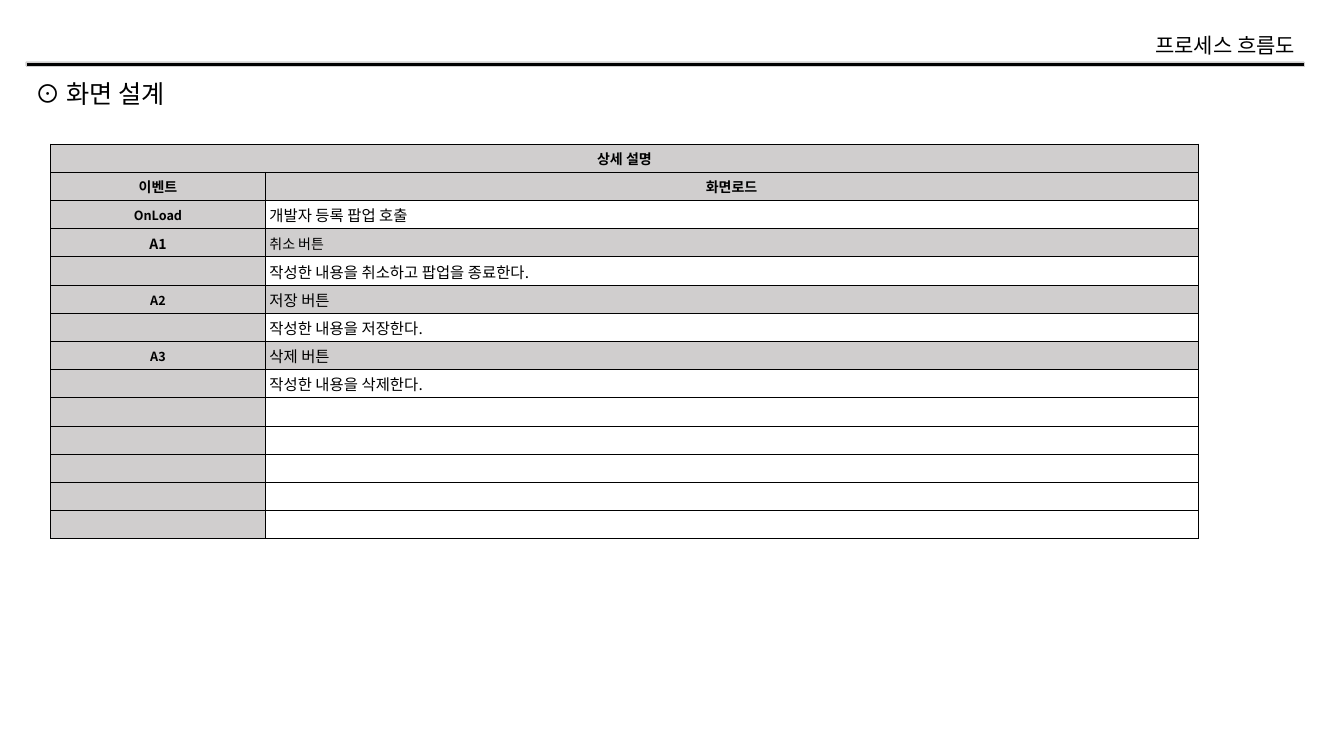
from lxml import etree
from pptx import Presentation
from pptx.dml.color import RGBColor
from pptx.enum.shapes import MSO_SHAPE
from pptx.enum.text import MSO_ANCHOR, MSO_AUTO_SIZE, PP_ALIGN
from pptx.oxml.ns import qn
from pptx.util import Cm, Pt

BLACK = RGBColor(0x00, 0x00, 0x00)
GREY = RGBColor(0xD0, 0xCE, 0xCE)
FONT = "Noto Sans CJK KR"
LEFT, CENTER, RIGHT = PP_ALIGN.LEFT, PP_ALIGN.CENTER, PP_ALIGN.RIGHT
MIDDLE = MSO_ANCHOR.MIDDLE
GROW = MSO_AUTO_SIZE.SHAPE_TO_FIT_TEXT
RECT = MSO_SHAPE.RECTANGLE

ROWS = [
    ("상세 설명", 10, "", 10),
    ("이벤트", 10, "화면로드", 10),
    ("OnLoad", 9, "개발자 등록 팝업 호출", 11),
    ("A1", 10, "취소 버튼", 10),
    ("", 10, "작성한 내용을 취소하고 팝업을 종료한다.", 11),
    ("A2", 9, "저장 버튼", 11),
    ("", 10, "작성한 내용을 저장한다.", 11),
    ("A3", 9, "삭제 버튼", 11),
    ("", 10, "작성한 내용을 삭제한다.", 11),
] + [("", 10, "", 10)] * 5
HEADS = 2
SHADED = {0, 1, 3, 5, 7}


def write(frame, text, size=10, bold=False, align=LEFT):
    para = frame.paragraphs[0]
    para.alignment = align
    if not text:
        etree.SubElement(para._p, qn("a:endParaRPr"), sz=str(size * 100))
        return
    run = para.add_run()
    run.text = text
    font = run.font
    font.size, font.bold, font.name = Pt(size), bold, FONT
    font.color.rgb = BLACK
    etree.SubElement(run._r.rPr, qn("a:ea"), typeface=FONT)


class Page:
    def __init__(self, deck):
        self.slide = deck.slides.add_slide(deck.slide_layouts[6])
        self.shapes = self.slide.shapes

    def bar(self, x, y, w, h):
        bar = self.shapes.add_shape(RECT, Cm(x), Cm(y), Cm(w), Cm(h))
        bar.shadow.inherit = False
        bar.fill.solid()
        bar.fill.fore_color.rgb = BLACK
        bar.line.color.rgb = GREY
        bar.line.width = Pt(0.3)

    def label(self, text, x, y, w, h, **style):
        box = self.shapes.add_textbox(Cm(x), Cm(y), Cm(w), Cm(h))
        frame = box.text_frame
        frame.word_wrap = False
        frame.auto_size = GROW
        write(frame, text, **style)

    def cell(self, cell, text, shade=False, indent=0.03, **style):
        cell.margin_left, cell.margin_right = Cm(indent), Cm(0.03)
        cell.margin_top, cell.margin_bottom = Cm(0.03), 0
        cell.vertical_anchor = MIDDLE
        props = cell._tc.get_or_add_tcPr()
        for side in ("lnL", "lnR", "lnT", "lnB"):
            line = etree.SubElement(props, qn(f"a:{side}"), w=str(Pt(0.5)))
            fill = etree.SubElement(line, qn("a:solidFill"))
            etree.SubElement(fill, qn("a:srgbClr"), val=str(BLACK))
        if shade:
            cell.fill.solid()
            cell.fill.fore_color.rgb = GREY
        else:
            cell.fill.background()
        write(cell.text_frame, text, **style)

    def table(self, rows, x, y, widths, high):
        table = self.shapes.add_table(
            len(rows), len(widths), Cm(x), Cm(y),
            Cm(sum(widths)), Cm(high * len(rows))).table
        table.first_row = table.horz_banding = False
        for col, width in zip(table.columns, widths):
            col.width = Cm(width)
        for i, (event, small, detail, size) in enumerate(rows):
            head = i < HEADS
            table.rows[i].height = Cm(high)
            self.cell(table.cell(i, 0), event, shade=True,
                      size=small, bold=True, align=CENTER)
            self.cell(table.cell(i, 1), detail, shade=i in SHADED,
                      indent=0.03 if head else 0.11, size=size,
                      bold=head, align=CENTER if head else LEFT)
        table.cell(0, 0).merge(table.cell(0, 1))


def main():
    deck = Presentation()
    deck.slide_width, deck.slide_height = Cm(33.87), Cm(19.05)
    page = Page(deck)
    page.bar(0.65, 1.56, 32.22, 0.1)
    page.label("프로세스 흐름도", 28.44, 0.7, 4.45, 0.9, size=15, align=RIGHT)
    page.label("⊙ 화면 설계", 0.65, 1.86, 4.15, 1.03, size=18)
    page.table(ROWS, 1.28, 3.63, (5.4, 23.51), 0.71)
    deck.save("out.pptx")


if __name__ == "__main__":
    main()
